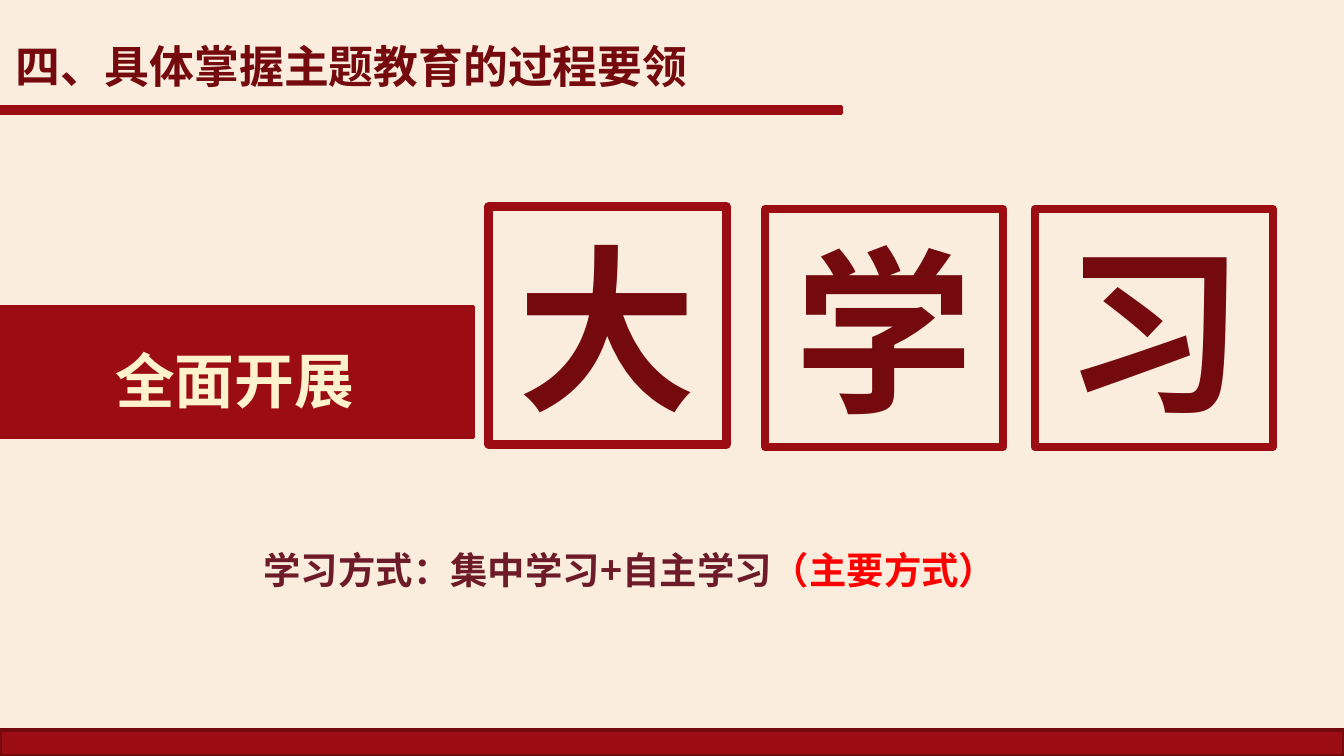
"""Build the slide on the study stage of the education programme."""
from dataclasses import dataclass
from typing import Optional

from lxml.etree import SubElement
from pptx import Presentation
from pptx.dml.color import RGBColor
from pptx.enum.shapes import MSO_SHAPE as Shape
from pptx.enum.text import MSO_ANCHOR as Anchor, PP_ALIGN as Align
from pptx.oxml.ns import qn
from pptx.util import Pt

COLORS = {
    "cream": "FAEDDD",
    "red": "9B0D13",
    "edge": "730A0E",
    "dark": "740A0E",
    "pale": "FFF2CC",
    "plum": "6D1B28",
    "bright": "FF0000",
}
CJK_FONT = "Noto Sans CJK SC"
WIDTH, HEIGHT = 720, 405
TILE_SIZE = 127.5


@dataclass
class Box:
    left: float
    top: float
    width: float
    height: float

    def lengths(self) -> tuple:
        return tuple(Pt(n) for n in (self.left, self.top, self.width, self.height))


@dataclass
class Panel:
    box: Box
    fill: Optional[str] = "red"
    line: str = "red"
    line_width: float = 1.5


@dataclass
class Tile:
    character: str
    left: float
    top: float


PANELS = [
    Panel(Box(0, 391, WIDTH, 14), line="edge", line_width=2),
    Panel(Box(0, 57, 450.75, 3.75)),
    Panel(Box(-2, 164, 255.5, 70.5)),
]
TILES = [
    Tile("大", 261.75, 110.6),
    Tile("学", 410, 112),
    Tile("习", 554.4, 112),
]


def color(name: str) -> RGBColor:
    return RGBColor.from_string(COLORS[name])


def add_panel(slide, panel: Panel):
    shape = slide.shapes.add_shape(Shape.RECTANGLE, *panel.box.lengths())
    shape.shadow.inherit = False
    if panel.fill:
        shape.fill.solid()
        shape.fill.fore_color.rgb = color(panel.fill)
    else:
        shape.fill.background()
    shape.line.color.rgb = color(panel.line)
    shape.line.width = Pt(panel.line_width)
    return shape


def write(shape, *parts: tuple, size: float, font: str = "Arial", align=Align.CENTER,
          anchor=Anchor.TOP, spacing: float = 1.0) -> None:
    frame = shape.text_frame
    frame.word_wrap = True
    frame.vertical_anchor = anchor
    paragraph = frame.paragraphs[0]
    paragraph.alignment = align
    paragraph.line_spacing = spacing
    for text, color_name in parts:
        run = paragraph.add_run()
        run.text = text
        run.font.size = Pt(size)
        run.font.bold = True
        run.font.name = font
        run.font.color.rgb = color(color_name)
        SubElement(run.font._element, qn("a:ea"), typeface=CJK_FONT)


def add_tile(slide, tile: Tile) -> None:
    box = Box(tile.left, tile.top, TILE_SIZE, TILE_SIZE)
    shape = add_panel(slide, Panel(box, fill=None, line_width=4.5))
    write(shape, (tile.character, "dark"), size=96, anchor=Anchor.MIDDLE)


def main() -> None:
    presentation = Presentation()
    presentation.slide_width, presentation.slide_height = Pt(WIDTH), Pt(HEIGHT)
    slide = presentation.slides.add_slide(presentation.slide_layouts[5])
    slide.background.fill.solid()
    slide.background.fill.fore_color.rgb = color("cream")

    title = slide.shapes.title
    title.left, title.top, title.width, title.height = Box(1, 9.4, 402, 45.4).lengths()
    write(title, ("四、具体掌握主题教育的过程要领", "dark"), size=24,
          align=Align.LEFT, anchor=Anchor.MIDDLE, spacing=1.2)

    for panel in PANELS:
        add_panel(slide, panel)
    label = slide.shapes.add_textbox(*Box(-2, 172.8, 255.5, 54).lengths())
    write(label, ("全面开展", "pale"), size=32, spacing=1.2)
    method = slide.shapes.add_textbox(*Box(44, 289.5, 587, 55.5).lengths())
    write(method, ("学习方式：集中学习+自主学习", "plum"), ("（主要方式）", "bright"),
          size=20, font=CJK_FONT)
    for tile in TILES:
        add_tile(slide, tile)
    presentation.save("out.pptx")


if __name__ == "__main__":
    main()
